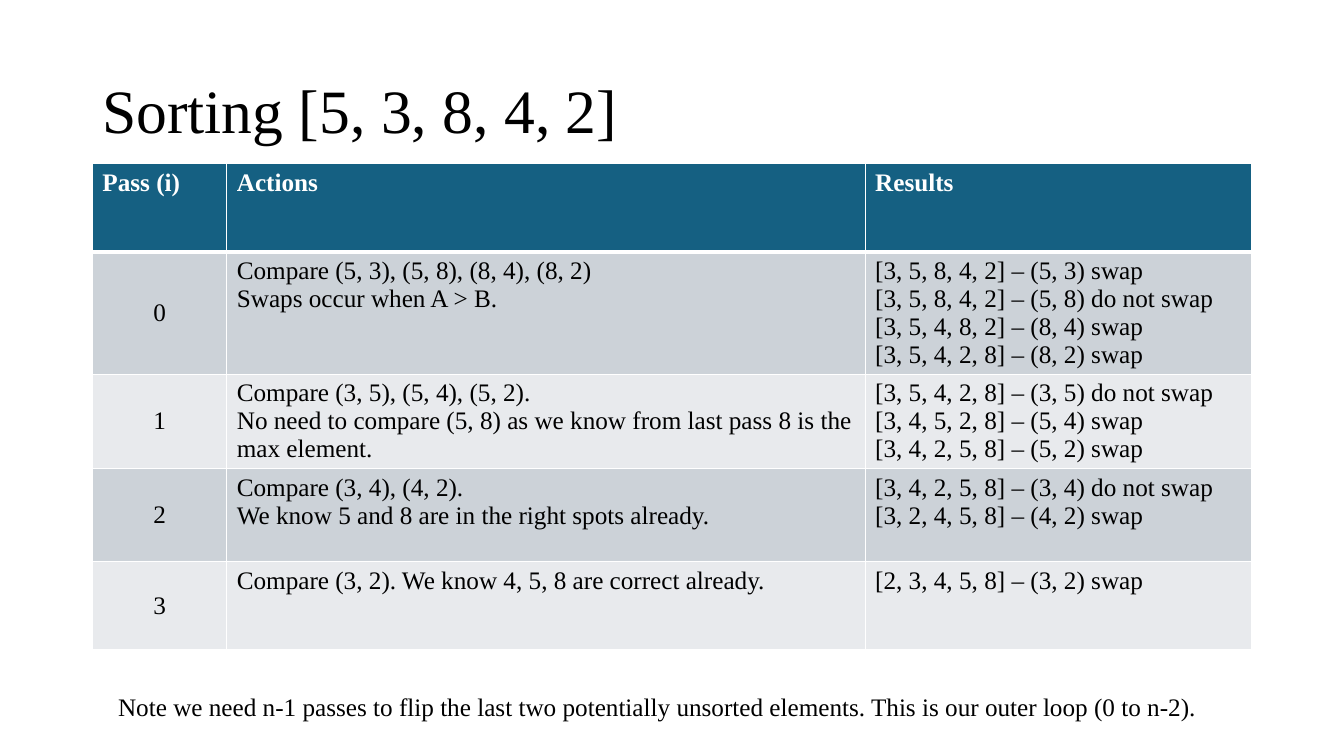
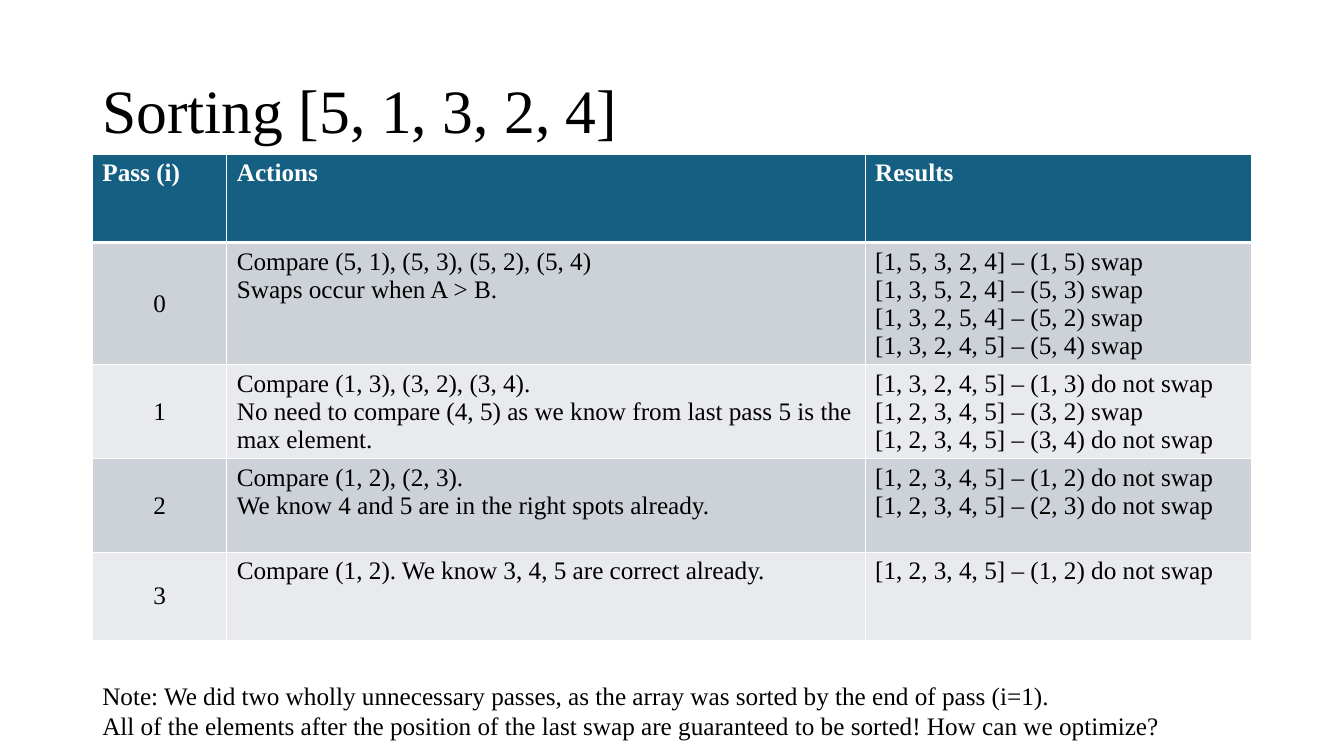
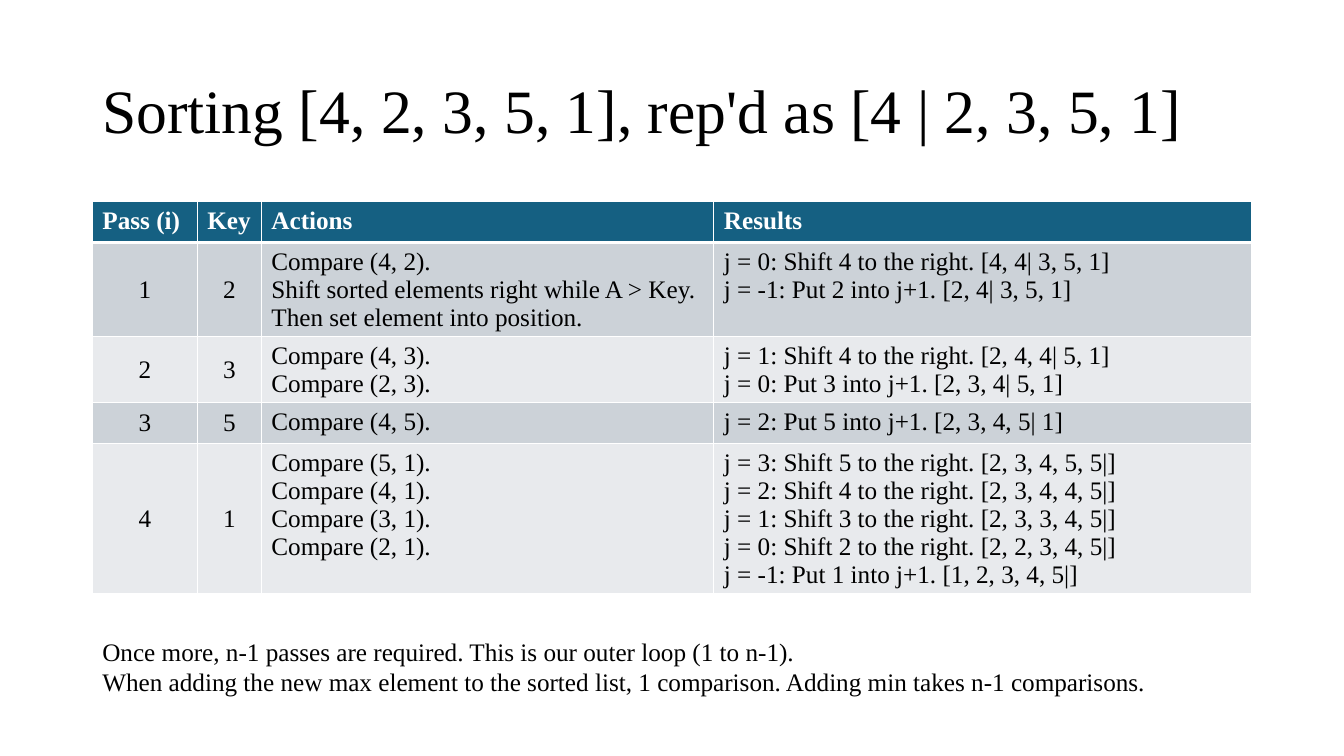
from copy import deepcopy
from dataclasses import dataclass

from pptx import Presentation
from pptx import util as u
from pptx.dml import color
from pptx.enum import text
from pptx.oxml import parse_xml
from pptx.oxml import ns

PX = 9525  # EMU in one px (96 px to the inch)


@dataclass(frozen=True)
class Theme:
    font: str = "Times New Roman"
    ink: str = "000000"
    paper: str = "FFFFFF"
    header: str = "156082"
    bands: tuple = ("CCD2D8", "E8EAED")
    title_size: int = 44
    body_size: int = 18
    cell_line: int = 20
    grid_line: int = 1
    header_line: int = 3


THEME = Theme()


def write(frame, content, *, size=THEME.body_size, ink=THEME.ink, bold=False,
          align=text.PP_ALIGN.LEFT, spacing=None):
    """Fill a text frame; each string is a paragraph, a newline is a line break."""
    frame.word_wrap = True
    for index, words in enumerate(content):
        para = frame.paragraphs[0] if index == 0 else frame.add_paragraph()
        para.text = words
        para.alignment = align
        if spacing:
            para.line_spacing = spacing
        for span in para.runs:
            span.font.name = THEME.font
            span.font.size = u.Pt(size)
            span.font.bold = bold
            span.font.color.rgb = color.RGBColor.from_string(ink)
        # Breaks take the run format, so line heights stay even
        for line_break in para._p.findall(ns.qn("a:br")):
            line_break.append(deepcopy(para.runs[0]._r.rPr))


def set_borders(cell, **widths):
    """Draw cell borders; widths in points, keyed by side letter."""
    properties = cell._tc.get_or_add_tcPr()
    for index, side in enumerate("LRTB"):
        width = u.Pt(widths.get(side, THEME.grid_line))
        properties.insert(index, parse_xml(
            f'<a:ln{side} {ns.nsdecls("a")} w="{width}"><a:solidFill>'
            f'<a:srgbClr val="{THEME.paper}"/></a:solidFill></a:ln{side}>'))


class SortingDeck:
    def __init__(self):
        self.deck = Presentation()
        self.deck.slide_width = 1280 * PX
        self.deck.slide_height = 720 * PX
        self.page = None

    def add_page(self, title):
        self.page = self.deck.slides.add_slide(self.deck.slide_layouts[6])
        box = self.add_text([title], 88, 39, 1104, 139,
                            size=THEME.title_size, spacing=0.9)
        box.text_frame.vertical_anchor = text.MSO_ANCHOR.MIDDLE

    def add_text(self, content, left, top, width, height, **style):
        box = self.page.shapes.add_textbox(
            left * PX, top * PX, width * PX, height * PX)
        write(box.text_frame, content, **style)
        return box

    def add_trace(self, top, columns, heights, headings, rows):
        """Table of passes: short strings are centred, lists are text."""
        table = self.page.shapes.add_table(
            len(heights), len(columns), 88 * PX, top * PX,
            sum(columns) * PX, sum(heights) * PX).table
        for column, width in zip(table.columns, columns):
            column.width = width * PX
        for row, height in zip(table.rows, heights):
            row.height = height * PX

        for y, values in enumerate([[[name] for name in headings], *rows]):
            for x, value in enumerate(values):
                cell = table.cell(y, x)
                style = {"spacing": u.Pt(THEME.cell_line)}
                fill, borders = THEME.bands[(y - 1) % 2], {}
                if y == 0:
                    style.update(ink=THEME.paper, bold=True)
                    fill, borders = THEME.header, {"B": THEME.header_line}
                elif y == 1:
                    borders = {"T": THEME.header_line}
                if isinstance(value, str):
                    style["align"] = text.PP_ALIGN.CENTER
                    cell.vertical_anchor = text.MSO_ANCHOR.MIDDLE
                    value = [value]
                write(cell.text_frame, value, **style)
                cell.fill.solid()
                cell.fill.fore_color.rgb = color.RGBColor.from_string(fill)
                set_borders(cell, **borders)

    def add_bubble_trace(self, top, rows):
        self.add_trace(top, [128, 608, 368], [84, 116, 89, 89, 84],
                       ["Pass (i)", "Actions", "Results"], rows)


def main():
    show = SortingDeck()

    # Bubble sort, first example
    show.add_page("Sorting [5, 3, 8, 4, 2]")
    show.add_bubble_trace(156, [
        ["0",
         ["Compare (5, 3), (5, 8), (8, 4), (8, 2)\nSwaps occur when A > B."],
         ["[3, 5, 8, 4, 2] – (5, 3) swap",
          "[3, 5, 8, 4, 2] – (5, 8) do not swap",
          "[3, 5, 4, 8, 2] – (8, 4) swap",
          "[3, 5, 4, 2, 8] – (8, 2) swap"]],
        ["1",
         ["Compare (3, 5), (5, 4), (5, 2).",
          "No need to compare (5, 8) as we know from last pass 8 is the max element."],
         ["[3, 5, 4, 2, 8] – (3, 5) do not swap",
          "[3, 4, 5, 2, 8] – (5, 4) swap",
          "[3, 4, 2, 5, 8] – (5, 2) swap"]],
        ["2",
         ["Compare (3, 4), (4, 2).",
          "We know 5 and 8 are in the right spots already."],
         ["[3, 4, 2, 5, 8] – (3, 4) do not swap",
          "[3, 2, 4, 5, 8] – (4, 2) swap"]],
        ["3",
         ["Compare (3, 2). We know 4, 5, 8 are correct already."],
         ["[2, 3, 4, 5, 8] – (3, 2) swap"]],
    ])
    show.add_text(
        ["Note we need n-1 passes to flip the last two potentially unsorted "
         "elements. This is our outer loop (0 to n-2)."],
        103, 654, 1177, 38)

    # Bubble sort, second example
    show.add_page("Sorting [5, 1, 3, 2, 4]")
    show.add_bubble_trace(147, [
        ["0",
         ["Compare (5, 1), (5, 3), (5, 2), (5, 4)\nSwaps occur when A > B."],
         ["[1, 5, 3, 2, 4] – (1, 5) swap",
          "[1, 3, 5, 2, 4] – (5, 3) swap",
          "[1, 3, 2, 5, 4] – (5, 2) swap",
          "[1, 3, 2, 4, 5] – (5, 4) swap"]],
        ["1",
         ["Compare (1, 3), (3, 2), (3, 4).",
          "No need to compare (4, 5) as we know from last pass 5 is the max element."],
         ["[1, 3, 2, 4, 5] – (1, 3) do not swap",
          "[1, 2, 3, 4, 5] – (3, 2) swap",
          "[1, 2, 3, 4, 5] – (3, 4) do not swap"]],
        ["2",
         ["Compare (1, 2), (2, 3).",
          "We know 4 and 5 are in the right spots already."],
         ["[1, 2, 3, 4, 5] – (1, 2) do not swap",
          "[1, 2, 3, 4, 5] – (2, 3) do not swap"]],
        ["3",
         ["Compare (1, 2). We know 3, 4, 5 are correct already."],
         ["[1, 2, 3, 4, 5] – (1, 2) do not swap"]],
    ])
    show.add_text(
        ["Note: We did two wholly unnecessary passes, as the array was sorted "
         "by the end of pass (i=1).",
         "All of the elements after the position of the last swap are "
         "guaranteed to be sorted! How can we optimize?"],
        88, 643, 1104, 68)

    # Insertion sort
    show.add_page("Sorting [4, 2, 3, 5, 1], rep'd as [4 | 2, 3, 5, 1]")
    show.add_trace(
        192, [100, 61, 431, 512], [39, 89, 63, 39, 142],
        ["Pass (i)", "Key", "Actions", "Results"], [
            ["1", "2",
             ["Compare (4, 2).",
              "Shift sorted elements right while A > Key.",
              "Then set element into position."],
             ["j = 0: Shift 4 to the right. [4, 4| 3, 5, 1]",
              "j = -1: Put 2 into j+1. [2, 4| 3, 5, 1]"]],
            ["2", "3",
             ["Compare (4, 3).\nCompare (2, 3)."],
             ["j = 1: Shift 4 to the right. [2, 4, 4| 5, 1]",
              "j = 0: Put 3 into j+1. [2, 3, 4| 5, 1]"]],
            ["3", "5",
             ["Compare (4, 5)."],
             ["j = 2: Put 5 into j+1. [2, 3, 4, 5| 1]"]],
            ["4", "1",
             [f"Compare ({value}, 1)." for value in (5, 4, 3, 2)],
             ["j = 3: Shift 5 to the right. [2, 3, 4, 5, 5|]",
              "j = 2: Shift 4 to the right. [2, 3, 4, 4, 5|]",
              "j = 1: Shift 3 to the right. [2, 3, 3, 4, 5|]",
              "j = 0: Shift 2 to the right. [2, 2, 3, 4, 5|]",
              "j = -1: Put 1 into j+1. [1, 2, 3, 4, 5|]"]],
        ])
    show.add_text(
        ["Once more, n-1 passes are required. This is our outer loop (1 to n-1).\n"
         "When adding the new max element to the sorted list, 1 comparison. "
         "Adding min takes n-1 comparisons."],
        88, 601, 1014, 68)

    show.deck.save("out.pptx")


if __name__ == "__main__":
    main()
